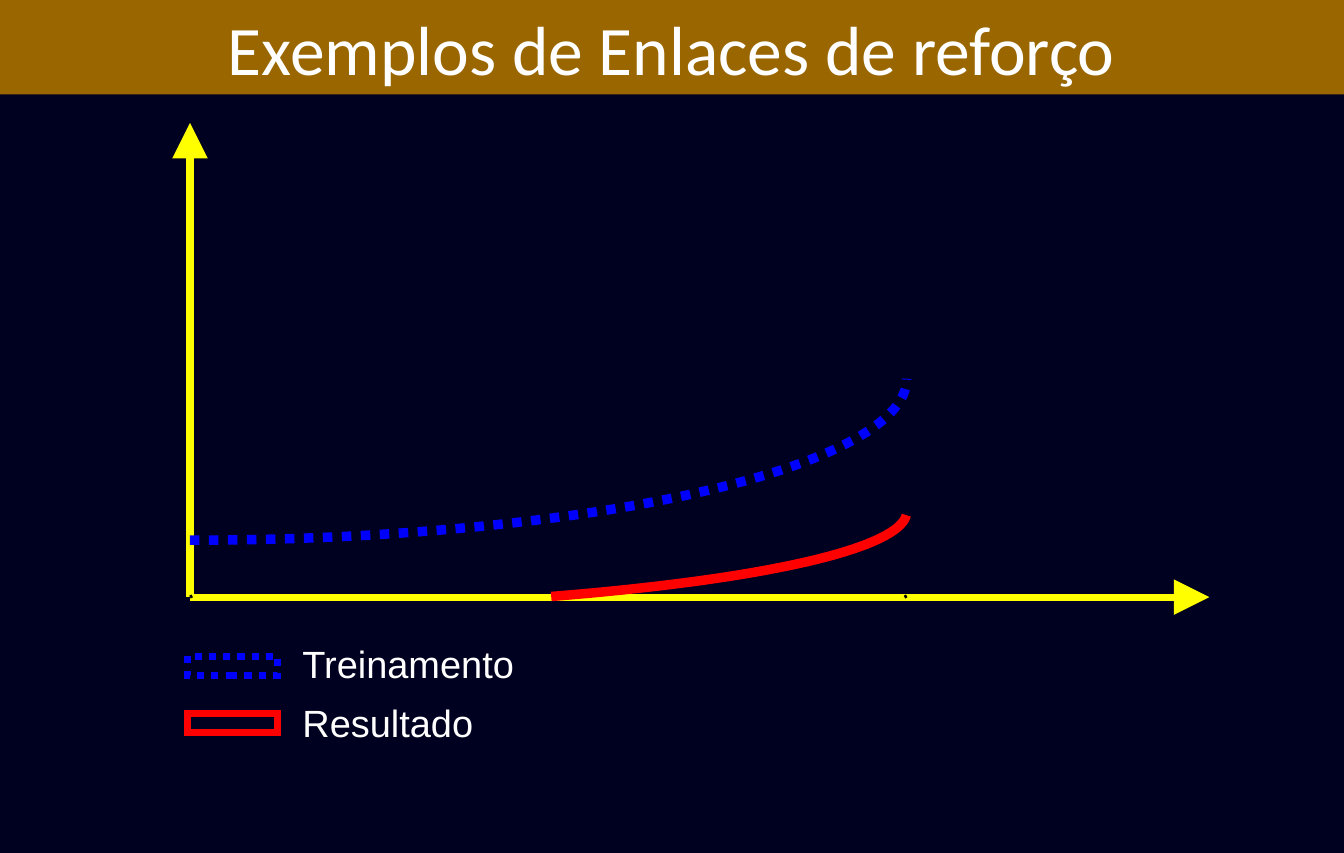
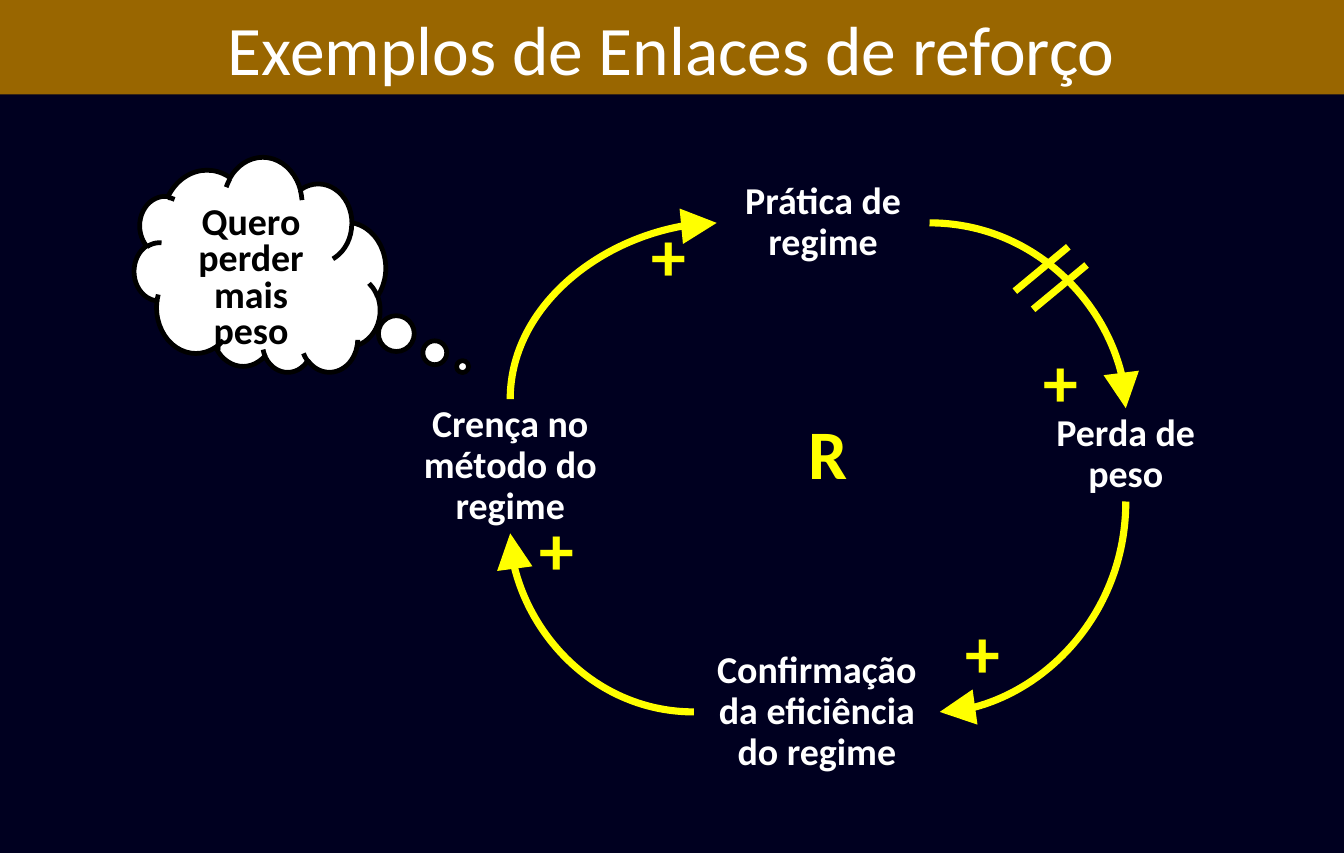
"""Build two slides about reinforcing loops."""
import math
from dataclasses import dataclass

from lxml import etree
from pptx import Presentation
from pptx import util as u
from pptx.dml.color import RGBColor
from pptx.enum import dml, shapes, text
from pptx.oxml import ns


@dataclass(frozen=True)
class Theme:
    """Colours, fonts and sizes shared by the slides."""

    night: str = "000020"
    band: str = "996600"
    white: str = "FFFFFF"
    black: str = "000000"
    yellow: str = "FFFF00"
    blue: str = "0000FF"
    red: str = "FF0000"
    font: str = "Calibri"
    legend_font: str = "Arial"
    large: int = 44
    normal: int = 24
    stroke: float = 4.5
    curve: float = 6
    width: float = 11.8125
    height: float = 7.5


THEME = Theme()
CENTER = text.PP_ALIGN.CENTER
LEFT = text.PP_ALIGN.LEFT
TOP, LEFT_SIDE, BOTTOM, RIGHT_SIDE = range(4)


def rgb(color):
    """Turn a hex string into a colour."""
    return RGBColor.from_string(color)


def inches(*lengths):
    """Convert several lengths to inches."""
    return [u.Inches(length) for length in lengths]


def paint(fill, color):
    """Apply a solid fill."""
    fill.solid()
    fill.fore_color.rgb = rgb(color)


def stroke(shape, color, width, dotted=False):
    """Outline a shape or a connector."""
    shape.line.color.rgb = rgb(color)
    shape.line.width = u.Pt(width)
    if dotted:
        shape.line.dash_style = dml.MSO_LINE.ROUND_DOT


def extend_line(shape, tag, **attributes):
    """Append a detail such as a join or an arrowhead to an outline."""
    line = shape._element.xpath("./p:spPr/a:ln")[0]
    etree.SubElement(line, ns.qn(f"a:{tag}"), **attributes)


def write(box, words, size, color, bold=True, align=CENTER, font=THEME.font, spacing=0.9):
    """Write one formatted paragraph in a shape."""
    frame = box.text_frame
    frame.word_wrap = True
    frame.auto_size = text.MSO_AUTO_SIZE.NONE
    frame.vertical_anchor = text.MSO_ANCHOR.TOP
    frame.text = words
    para = frame.paragraphs[0]
    para.alignment = align
    para.line_spacing = spacing
    span = para.runs[0].font
    span.name, span.size, span.bold = font, u.Pt(size), bold
    span.color.rgb = rgb(color)


def add_label(slide, place, words, **style):
    """Add a text box."""
    box = slide.shapes.add_textbox(*inches(*place))
    write(box, words, **style)
    return box


def finish_connector(connector, color, width, arrow=None):
    """Style a connector, remove its shadow and add an arrowhead."""
    stroke(connector, color, width)
    if arrow:
        extend_line(connector, arrow, type="triangle", w="lg", len="lg")
    etree.SubElement(connector._element.spPr, ns.qn("a:effectLst"))


def add_line(slide, start, end, color=THEME.yellow, width=THEME.stroke, arrow=None):
    """Add a straight line."""
    line = slide.shapes.add_connector(shapes.MSO_CONNECTOR.STRAIGHT, *inches(*start, *end))
    finish_connector(line, color, width, arrow)


def add_link(slide, level, upright, arrow):
    """Join a level side of one box to an upright side of another."""
    link = slide.shapes.add_connector(shapes.MSO_CONNECTOR.CURVE, 0, 0, 0, 0)
    link.begin_connect(*level)
    link.end_connect(*upright)
    link._element.xpath(".//a:prstGeom")[0].set("prst", "curvedConnector2")
    finish_connector(link, THEME.yellow, THEME.stroke, arrow)


def add_curve(slide, center, radii, degrees, color, dotted=False, steps=60):
    """Add an open piece of an ellipse."""
    first, last = degrees
    angles = [math.radians(first + (last - first) * step / steps) for step in range(steps + 1)]
    points = [
        inches(center[0] + radii[0] * math.cos(angle), center[1] + radii[1] * math.sin(angle))
        for angle in angles
    ]
    builder = slide.shapes.build_freeform(*points[0])
    builder.add_line_segments(points[1:], close=False)
    curve = builder.convert_to_shape()
    curve.shadow.inherit = False
    curve.fill.background()
    stroke(curve, color, THEME.curve, dotted)


def add_key(slide, top, text_top, words, color, dotted=False):
    """Add a legend swatch and its label."""
    swatch = slide.shapes.add_shape(
        shapes.MSO_SHAPE.RECTANGLE, *inches(1.65, top, 0.79, 0.17))
    swatch.shadow.inherit = False
    swatch.fill.background()
    stroke(swatch, color, THEME.stroke, dotted)
    extend_line(swatch, "miter", lim="800000")
    add_label(slide, (2.56, text_top, 4.53, 0.5), words, size=THEME.normal,
              color=THEME.white, bold=False, align=LEFT, font=THEME.legend_font, spacing=1.0)


def add_thought(slide, place, words):
    """Add a thought cloud with its bubbles at the lower right."""
    cloud = slide.shapes.add_shape(shapes.MSO_SHAPE.CLOUD_CALLOUT, *inches(*place))
    cloud.shadow.inherit = False
    cloud.adjustments[0], cloud.adjustments[1] = 0.806, -0.47
    cloud._element.spPr.xfrm.set("flipV", "1")
    paint(cloud.fill, THEME.white)
    stroke(cloud, THEME.black, 3)
    write(cloud, words, THEME.normal, THEME.black, spacing=0.8)
    cloud._element.txBody.bodyPr.set("rot", "10800000")


def add_page(deck, heading):
    """Add a slide with the title band."""
    page = deck.slides.add_slide(deck.slide_layouts[5])
    title = page.shapes.title
    title.left, title.top, title.width, title.height = inches(0, 0, THEME.width, 0.83)
    paint(title.fill, THEME.band)
    write(title, heading, THEME.large, THEME.white, bold=False, spacing=1.0)
    return page


def build_graph(page):
    """Draw training and result over time."""
    origin = (1.67, 5.25)
    for end in ((1.67, 1.08), (10.63, 5.25)):
        add_line(page, origin, end, arrow="tailEnd")
    add_key(page, 5.77, 5.58, "Treinamento", THEME.blue, dotted=True)
    add_key(page, 6.27, 6.1, "Resultado", THEME.red)
    for left in (1.67, 7.95):
        add_line(page, (left, 5.25), (left + 0.02, 5.24), THEME.black, 2)
    add_curve(page, (1.67, 3.33), (6.3, 1.42), (90, 0), THEME.blue, dotted=True)
    add_curve(page, (1.72, 4.5), (6.25, 0.86), (60, 2), THEME.red)


def build_loop(page):
    """Draw the diet loop."""
    add_label(page, (7.01, 3.64, 0.89, 0.76), "R", size=THEME.large,
              color=THEME.yellow, align=LEFT)
    for left, top in ((9.07, 3.01), (5.63, 1.9), (4.64, 4.48), (8.39, 5.39)):
        add_label(page, (left, top, 0.59, 0.76), "+", size=THEME.large,
                  color=THEME.yellow, align=LEFT)
    add_thought(page, (1.18, 1.39, 2.21, 1.89), "Quero perder mais peso")
    steps = (
        ((6.3, 1.55, 1.87, 0.82), "Prática de regime"),
        ((8.96, 3.59, 1.87, 0.82), "Perda de peso"),
        ((6.1, 5.67, 2.16, 1.18), "Confirmação da eficiência do regime"),
        ((3.45, 3.51, 2.07, 1.18), "Crença no método do regime"),
    )
    practice, loss, proof, belief = [
        add_label(page, place, words, size=THEME.normal, color=THEME.white)
        for place, words in steps
    ]
    add_link(page, (practice, RIGHT_SIDE), (loss, TOP), "tailEnd")
    add_link(page, (proof, RIGHT_SIDE), (loss, BOTTOM), "headEnd")
    add_link(page, (proof, LEFT_SIDE), (belief, BOTTOM), "tailEnd")
    add_link(page, (practice, LEFT_SIDE), (belief, TOP), "headEnd")
    for shift in (0, 0.16):
        add_line(page, (9.39 + shift, 2.17 + shift), (8.92 + shift, 2.56 + shift))


def main():
    """Build and save the deck."""
    deck = Presentation()
    deck.slide_width, deck.slide_height = inches(THEME.width, THEME.height)
    paint(deck.slide_master.background.fill, THEME.night)
    for build in (build_graph, build_loop):
        build(add_page(deck, "Exemplos de Enlaces de reforço"))
    deck.save("out.pptx")


if __name__ == "__main__":
    main()
